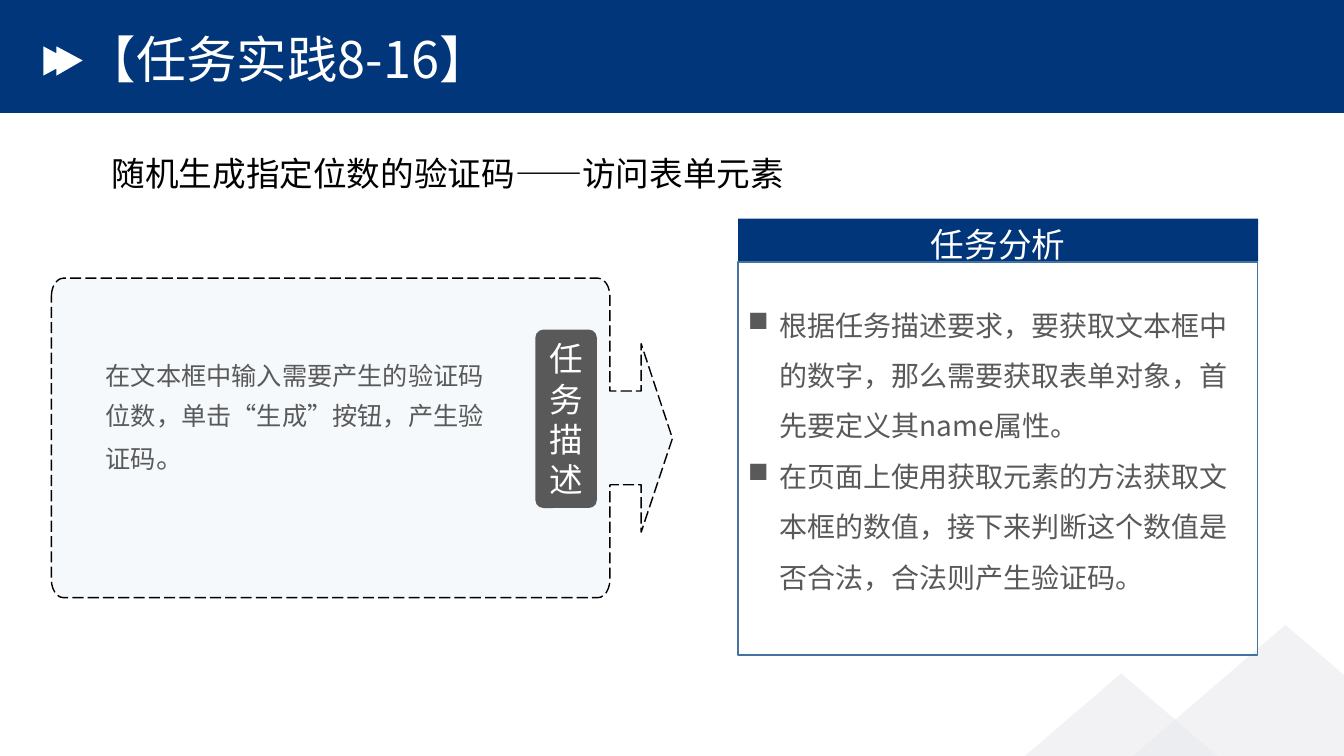
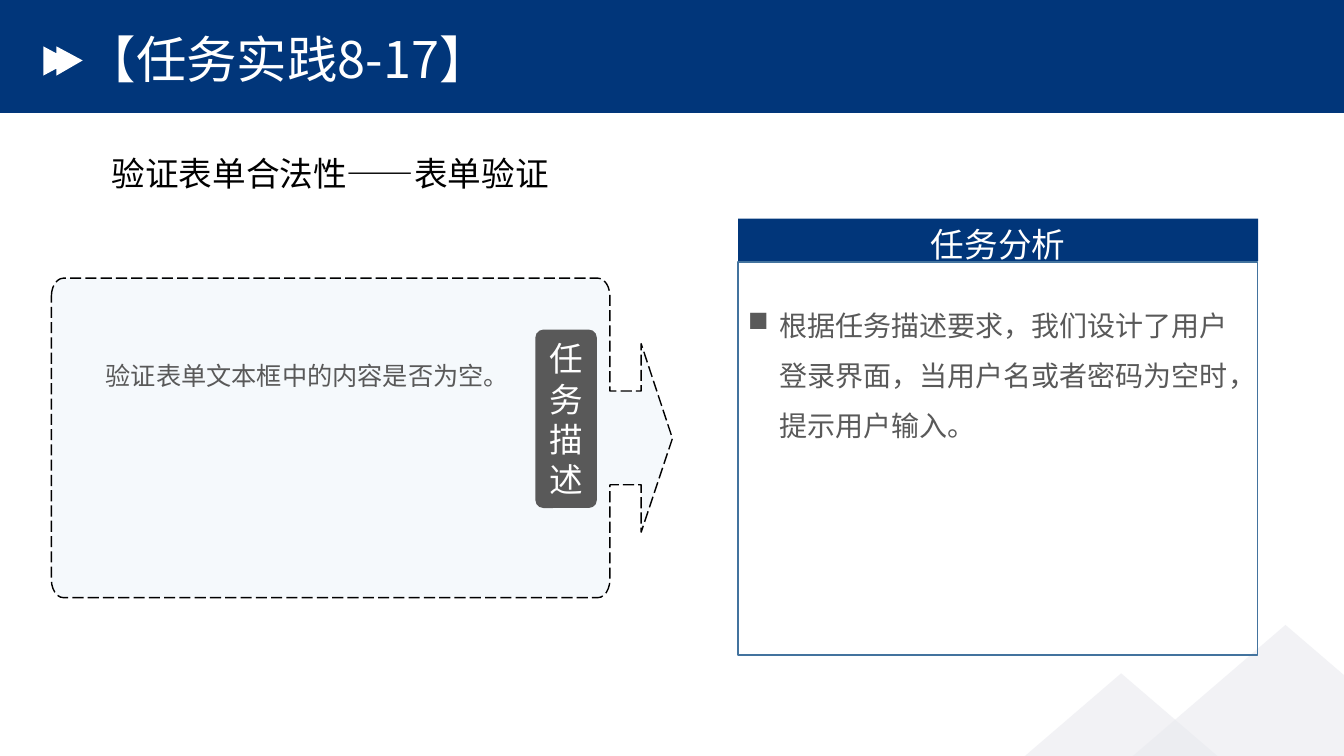
import math
from dataclasses import dataclass

from lxml import etree
from pptx import Presentation
from pptx.dml.color import RGBColor
from pptx.enum import dml, shapes, text
from pptx.oxml import ns
from pptx.util import Inches, Pt


@dataclass(frozen=True)
class Theme:
    navy: str = "01367A"
    white: str = "FFFFFF"
    black: str = "000000"
    grey: str = "595959"
    mountain: str = "E9EAEF"
    callout: str = "BDD7EE"
    frame: str = "43739E"
    font: str = "Noto Sans CJK SC"
    tag_font: str = "Calibri"
    title: int = 36
    heading: int = 24
    bullet: int = 20
    body: int = 18


@dataclass(frozen=True)
class Run:
    text: str
    size: int


@dataclass(frozen=True)
class Task:
    title: str
    subtitle: str
    description: tuple[Run, ...]
    analysis: tuple[str, ...]


T = Theme()
WIDTH, HEIGHT = 13.33, 7.5
Point = tuple[float, float]

TASKS = (
    Task(
        "【任务实践8-16】",
        "随机生成指定位数的验证码——访问表单元素",
        (
            Run("在文本框中输入需要产生的验证码位数，单击“生成”按钮，产生验证码", T.body),
            Run("。", T.bullet),
        ),
        (
            "根据任务描述要求，要获取文本框中的数字，那么需要获取表单对象，首先要定义其name属性。",
            "在页面上使用获取元素的方法获取文本框的数值，接下来判断这个数值是否合法，合法则产生验证码。",
        ),
    ),
    Task(
        "【任务实践8-17】",
        "验证表单合法性——表单验证",
        (Run("验证表单文本框中的内容是否为空。", T.body),),
        ("根据任务描述要求，我们设计了用户登录界面，当用户名或者密码为空时，提示用户输入。",),
    ),
)


def paint(sp, fill: str | None = None, line: str | None = None, alpha: int = 100) -> None:
    """Set fill, opacity in percent and a one-point outline; remove the shadow."""
    sp.shadow.inherit = False
    if fill:
        sp.fill.solid()
        sp.fill.fore_color.rgb = RGBColor.from_string(fill)
        if alpha < 100:
            color = sp.element.spPr.find(ns.qn("a:solidFill"))[0]
            etree.SubElement(color, ns.qn("a:alpha"), val=str(alpha * 1000))
    else:
        sp.fill.background()
    if line:
        sp.line.color.rgb = RGBColor.from_string(line)
        sp.line.width = Pt(1)
    else:
        sp.line.fill.background()


def add_run(p, run: Run, color: str, font: str = T.font) -> None:
    r = p.add_run()
    r.text = run.text
    r.font.size = Pt(run.size)
    r.font.color.rgb = RGBColor.from_string(color)
    r.font.name = font
    if font == T.font:
        latin = r.font._element.find(ns.qn("a:latin"))
        east_asian = etree.Element(ns.qn("a:ea"), typeface=font)
        latin.addnext(east_asian)


def add_box(s, kind, x: float, y: float, w: float, h: float):
    return s.shapes.add_shape(kind, Inches(x), Inches(y), Inches(w), Inches(h))


def add_text(s, x: float, y: float, w: float, h: float, runs: tuple[Run, ...], color: str) -> None:
    tf = s.shapes.add_textbox(Inches(x), Inches(y), Inches(w), Inches(h)).text_frame
    tf.word_wrap = True
    p = tf.paragraphs[0]
    p.line_spacing = 1.3
    for run in runs:
        add_run(p, run, color)


def add_polygon(s, points: list[Point]):
    start, *rest = [(Inches(x), Inches(y)) for x, y in points]
    builder = s.shapes.build_freeform(*start, scale=1.0)
    builder.add_line_segments(rest, close=True)
    return builder.convert_to_shape()


def corner(cx: float, cy: float, start: int) -> list[Point]:
    """Points of a clockwise quarter ellipse, from the start angle in degrees."""
    angles = [math.radians(start + step) for step in range(0, 91, 15)]
    return [(cx + 0.12 * math.cos(a), cy + 0.18 * math.sin(a)) for a in angles]


def decorate_layout(s, layout) -> None:
    """Draw the shared band, marker and mountains, then move them to the layout."""
    band = add_box(s, shapes.MSO_SHAPE.RECTANGLE, 0, 0, WIDTH, 1.12)
    paint(band, T.navy)
    marker = add_polygon(s, [(0.43, 0.46), (0.56, 0.53), (0.56, 0.46), (0.82, 0.6),
                             (0.56, 0.75), (0.56, 0.68), (0.43, 0.75)])
    paint(marker, T.white)
    parts = [band, marker]
    slope = 1.89 / 2.2
    for peak_x, peak_y in ((11.12, 6.68), (12.75, 6.2)):
        reach = (HEIGHT - peak_y) / slope
        points = [(peak_x - reach, HEIGHT), (peak_x, peak_y)]
        if peak_x + reach > WIDTH:
            points += [(WIDTH, peak_y + (WIDTH - peak_x) * slope), (WIDTH, HEIGHT)]
        else:
            points.append((peak_x + reach, HEIGHT))
        mountain = add_polygon(s, points)
        paint(mountain, T.mountain, alpha=59)
        parts.append(mountain)
    tree = layout.element.cSld.spTree
    for i, part in enumerate(parts):
        part.element.nvSpPr.cNvPr.set("id", str(100 + i))
        tree.insert(2 + i, part.element)


def add_title(s, title: str) -> None:
    sp = s.shapes.title
    sp.left, sp.top, sp.width, sp.height = (Inches(v) for v in (0.75, 0.34, 6.58, 0.56))
    tf = sp.text_frame
    tf.vertical_anchor = text.MSO_ANCHOR.MIDDLE
    p = tf.paragraphs[0]
    p.alignment = text.PP_ALIGN.LEFT
    p.line_spacing = 0.9
    add_run(p, Run(title, T.title), T.white)


def add_description(s, runs: tuple[Run, ...]) -> None:
    left, top, right, bottom, middle = 0.51, 2.76, 6.05, 5.93, 4.35
    neck, tip = 6.36, 6.67
    arrow = [(right, middle - 0.47), (neck, middle - 0.47), (neck, middle - 0.94), (tip, middle),
             (neck, middle + 0.93), (neck, middle + 0.46), (right, middle + 0.46)]
    outline = (corner(left + 0.12, top + 0.18, 180) + corner(right - 0.12, top + 0.18, 270)
               + arrow
               + corner(right - 0.12, bottom - 0.18, 0) + corner(left + 0.12, bottom - 0.18, 90))
    callout = add_polygon(s, outline)
    paint(callout, T.callout, T.black, alpha=15)
    callout.line.dash_style = dml.MSO_LINE.LONG_DASH
    add_text(s, 0.95, 3.44, 3.97, 1.28, runs, T.grey)

    tag = add_box(s, shapes.MSO_SHAPE.ROUNDED_RECTANGLE, 5.31, 3.27, 0.61, 1.77)
    tag.adjustments[0] = 0.13
    paint(tag, T.grey)
    tf = tag.text_frame
    tf.word_wrap = True
    tf.vertical_anchor = text.MSO_ANCHOR.MIDDLE
    p = tf.paragraphs[0]
    p.alignment = text.PP_ALIGN.CENTER
    add_run(p, Run("任务描述", T.heading), T.white, T.tag_font)


def add_bullet(p) -> None:
    p_pr = p._p.get_or_add_pPr()
    p_pr.set("marL", str(Inches(0.31)))
    p_pr.set("indent", str(-Inches(0.31)))
    etree.SubElement(p_pr, ns.qn("a:buChar"), char="■")


def add_analysis(s, items: tuple[str, ...]) -> None:
    bar = add_box(s, shapes.MSO_SHAPE.RECTANGLE, 7.32, 2.17, 5.16, 0.42)
    paint(bar, T.navy)
    tf = bar.text_frame
    tf.vertical_anchor = text.MSO_ANCHOR.TOP
    p = tf.paragraphs[0]
    p.alignment = text.PP_ALIGN.CENTER
    add_run(p, Run("任务分析", T.heading), T.white)

    frame = add_box(s, shapes.MSO_SHAPE.RECTANGLE, 7.32, 2.6, 5.15, 3.9)
    paint(frame, line=T.frame)
    tf = frame.text_frame
    tf.word_wrap = True
    tf.vertical_anchor = text.MSO_ANCHOR.TOP
    tf.margin_top = Inches(0.29)
    for i, item in enumerate(items):
        p = tf.add_paragraph() if i else tf.paragraphs[0]
        add_bullet(p)
        p.alignment = text.PP_ALIGN.LEFT
        p.line_spacing = 1.5
        add_run(p, Run(item, T.bullet), T.grey)


def main() -> None:
    prs = Presentation()
    prs.slide_width, prs.slide_height = Inches(WIDTH), Inches(HEIGHT)
    layout = prs.slide_layouts.get_by_name("Title Only")
    for i, task in enumerate(TASKS):
        s = prs.slides.add_slide(layout)
        if i == 0:
            decorate_layout(s, layout)
        add_title(s, task.title)
        add_text(s, 1.01, 1.35, 9.57, 0.7, (Run(task.subtitle, T.heading),), T.black)
        add_description(s, task.description)
        add_analysis(s, task.analysis)
    prs.save("out.pptx")


if __name__ == "__main__":
    main()
